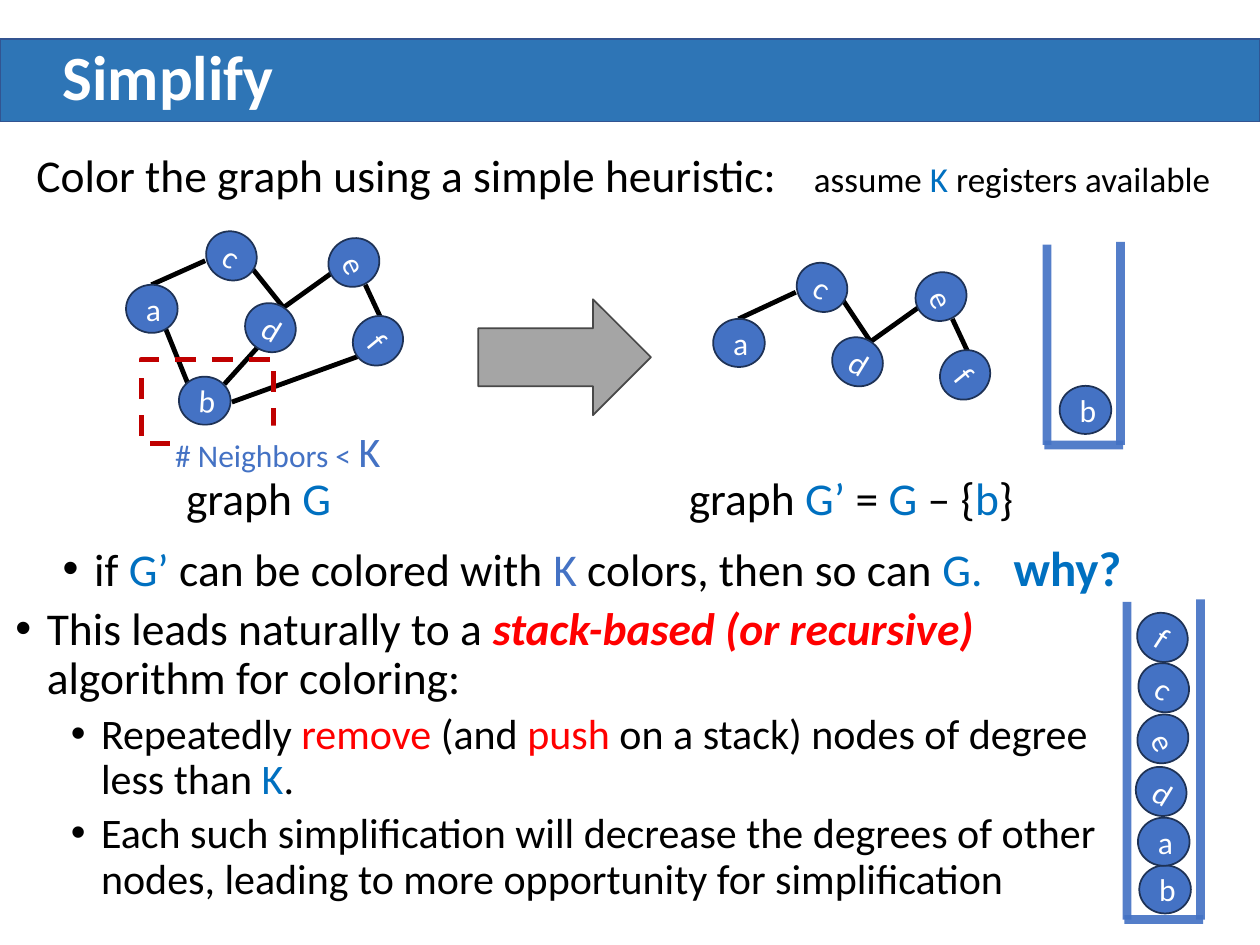
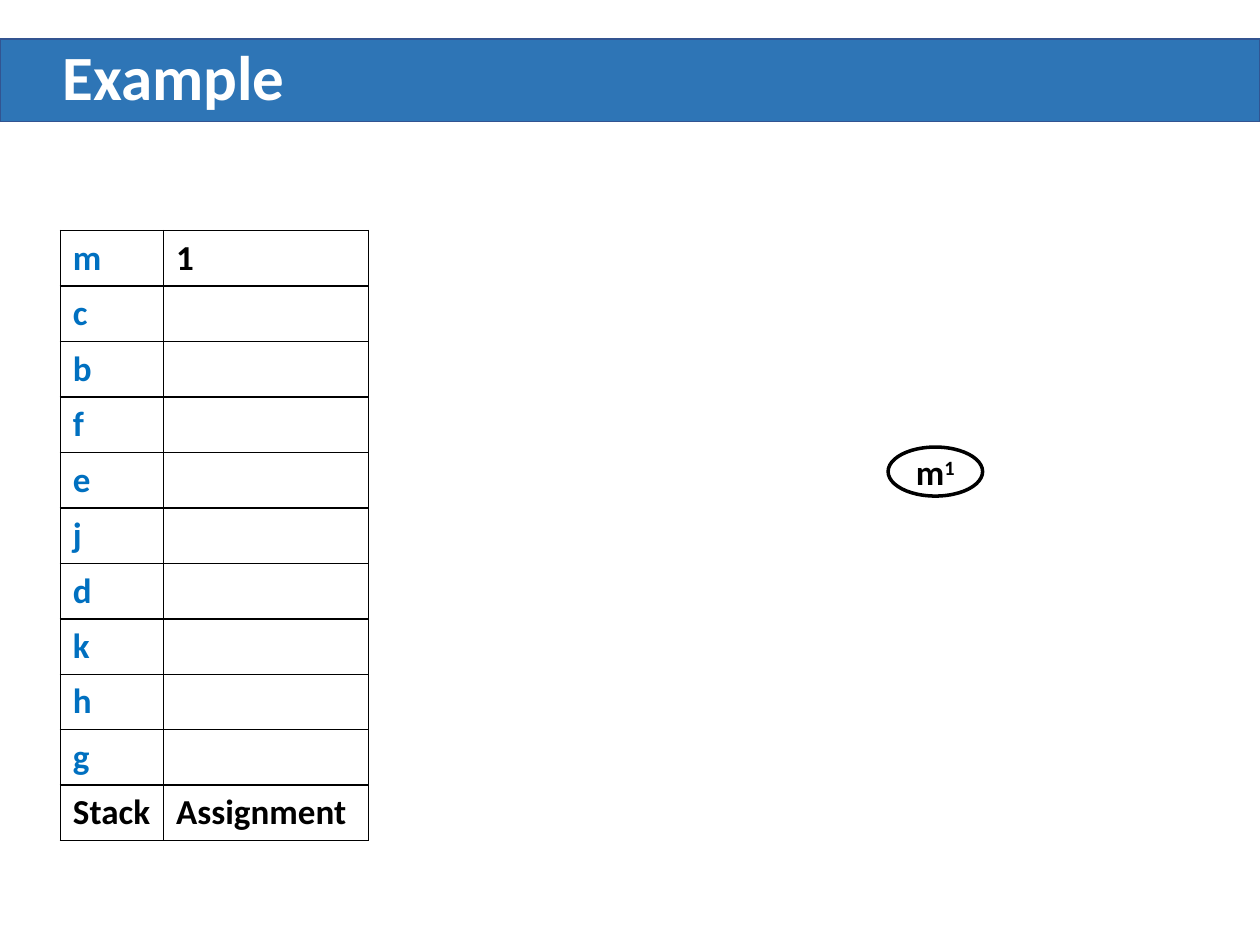
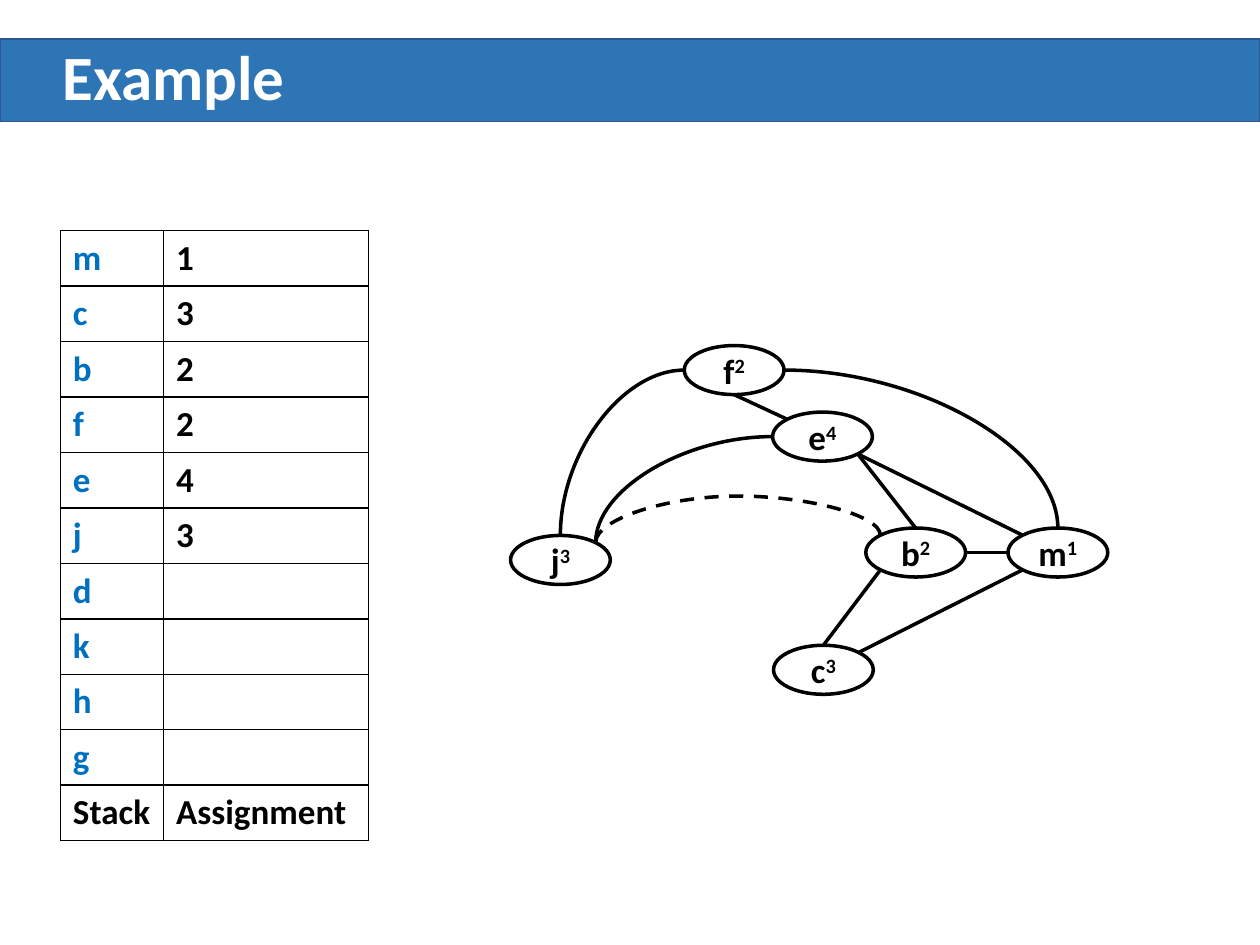
from dataclasses import dataclass, field
from math import sqrt

from lxml.etree import SubElement
from pptx import Presentation
from pptx.dml.color import RGBColor
from pptx.enum.dml import MSO_LINE
from pptx.enum.shapes import MSO_CONNECTOR, MSO_SHAPE
from pptx.enum.text import MSO_ANCHOR
from pptx.oxml.ns import qn
from pptx.util import Pt

BLACK = RGBColor(0x00, 0x00, 0x00)
WHITE = RGBColor(0xFF, 0xFF, 0xFF)
RED = RGBColor(0xFF, 0x00, 0x00)
DARK_RED = RGBColor(0xC0, 0x00, 0x00)
BAND = RGBColor(0x2E, 0x75, 0xB6)
BAND_EDGE = RGBColor(0x32, 0x54, 0x91)
ACCENT = RGBColor(0x44, 0x72, 0xC4)
NODE_EDGE = RGBColor(0x1E, 0x32, 0x56)
SYMBOL = RGBColor(0x00, 0x70, 0xC0)
GREY = RGBColor(0xA5, 0xA5, 0xA5)
GREY_EDGE = RGBColor(0x48, 0x48, 0x48)
FONT = "Calibri"

NODE_LONG, NODE_SHORT = 29.5, 27.5
OVAL_W, OVAL_H = 57, 28
ROW_H = 31.7
COLUMNS = (59, 117)
STACK_ORDER = "mcbfejdkhg"

DIAGONAL = sqrt(0.5)
SITES = {
    "top": (0, -1), "bottom": (0, 1), "left": (-1, 0), "right": (1, 0),
    "top left": (-DIAGONAL, -DIAGONAL), "top right": (DIAGONAL, -DIAGONAL),
    "bottom left": (-DIAGONAL, DIAGONAL), "bottom right": (DIAGONAL, DIAGONAL),
}

Point = tuple[float, float]


@dataclass
class Run:
    text: str
    color: RGBColor = BLACK
    size: float = 26
    bold: bool = False
    italic: bool = False
    attrs: dict = field(default_factory=dict)


@dataclass
class Para:
    runs: list[Run]
    spacing: float | None = None
    before: float = 0
    margin: float = 0
    hanging: float = 0


@dataclass
class Node:
    name: str
    x: float
    y: float
    rotation: float = 0
    tall: bool = False


@dataclass
class Edge:
    start: str
    start_at: Point
    end: str
    end_at: Point


@dataclass
class Link:
    start: str
    start_site: str
    end: str
    end_site: str
    curved: bool = False


GRAPH = [
    Node("b", 117, 229, 3.6),
    Node("a", 86.75, 176.5),
    Node("d", 154.5, 187.25, 31.3),
    Node("f", 216, 194.75, 50.7, True),
    Node("c", 132.25, 146.25, 32.9),
    Node("e", 202.25, 150, 64.3, True),
]
EDGES = [
    Edge("b", (107.25, 219), "a", (91.5, 180)),
    Edge("d", (147, 198.75), "b", (128.25, 219.5)),
    Edge("f", (204.5, 203.75), "b", (132.5, 229.75)),
    Edge("a", (86.5, 162.75), "c", (117.25, 149)),
    Edge("d", (162, 175.75), "c", (144, 153.25)),
    Edge("f", (217.5, 181.5), "e", (208.75, 162.75)),
    Edge("d", (162, 175.75), "e", (189.25, 156.25)),
]
PUSHED = [
    Node("b", 665.75, 508.25),
    Node("a", 665, 481),
    Node("d", 663.5, 452.25, 31.3),
    Node("e", 664.5, 422.25, 64.3, True),
    Node("c", 665, 393, 32.9),
    Node("f", 664.25, 364.25, 32.9),
]
OVALS = {
    "m": (576, 301.75), "f": (391, 197.5), "e": (441.5, 235.5),
    "b": (494.75, 301.75), "c": (442, 368.75), "j": (291.75, 306),
}
LINKS = [
    Link("f", "left", "j", "top", True),
    Link("f", "right", "m", "top", True),
    Link("e", "left", "j", "top right", True),
    Link("c", "bottom right", "m", "bottom left"),
    Link("c", "top", "b", "bottom left"),
    Link("e", "bottom right", "b", "top"),
    Link("f", "bottom", "e", "top left"),
    Link("e", "bottom right", "m", "top left"),
    Link("b", "right", "m", "left"),
]
LINKS[3].start_site = "top right"


def add_runs(p, runs: list[Run]) -> None:
    for run in runs:
        r = p.add_run()
        r.text = run.text
        style = {"name": FONT, "size": Pt(run.size), "bold": run.bold, "italic": run.italic}
        for key, value in style.items():
            setattr(r.font, key, value)
        r.font.color.rgb = run.color
        for key, value in run.attrs.items():
            r._r.get_or_add_rPr().set(key, value)


def add_text(s, x: float, y: float, w: float, h: float, paras: list[Para],
             insets: Point = (7.2, 3.6), anchor=MSO_ANCHOR.TOP):
    sp = s.shapes.add_textbox(Pt(x), Pt(y), Pt(w), Pt(h))
    tf = sp.text_frame
    layout = {"word_wrap": True, "vertical_anchor": anchor,
              "margin_left": Pt(insets[0]), "margin_right": Pt(insets[0]),
              "margin_top": Pt(insets[1]), "margin_bottom": Pt(insets[1])}
    for key, value in layout.items():
        setattr(tf, key, value)
    for i, para in enumerate(paras):
        p = tf.add_paragraph() if i else tf.paragraphs[0]
        if para.spacing:
            p.line_spacing = para.spacing
        if para.before:
            p.space_before = Pt(para.before)
        if para.hanging:
            pPr = p._p.get_or_add_pPr()
            pPr.set("marL", str(Pt(para.margin)))
            pPr.set("indent", str(-Pt(para.hanging)))
            SubElement(pPr, qn("a:buFont")).set("typeface", "Arial")
            SubElement(pPr, qn("a:buChar")).set("char", "•")
        add_runs(p, para.runs)
    return sp


def add_shape(s, kind, x: float, y: float, w: float, h: float,
              fill: RGBColor | None, edge: RGBColor, width: float = 1):
    sp = s.shapes.add_shape(kind, Pt(x), Pt(y), Pt(w), Pt(h))
    sp.shadow.inherit = False
    if fill is None:
        sp.fill.background()
    else:
        sp.fill.solid()
        sp.fill.fore_color.rgb = fill
    sp.line.color.rgb = edge
    sp.line.width = Pt(width)
    return sp


def add_line(s, start: Point, end: Point, color: RGBColor = BLACK, width: float = 2,
             kind=MSO_CONNECTOR.STRAIGHT):
    cn = s.shapes.add_connector(kind, *(Pt(v) for v in (*start, *end)))
    cn.line.color.rgb = color
    cn.line.width = Pt(width)
    SubElement(cn._element.spPr, qn("a:effectLst"))
    return cn


def add_quarter_curve(s, start: Point, end: Point) -> None:
    cn = add_line(s, start, end, kind=MSO_CONNECTOR.CURVE)
    cn._element.spPr.find(qn("a:prstGeom")).set("prst", "curvedConnector2")


def add_dashed_arch(s, start: Point, end: Point, rise: float) -> None:
    across, drop = end[0] - start[0], start[1] - end[1]
    mid_x, mid_y = (start[0] + end[0]) / 2, (start[1] + end[1]) / 2
    cn = add_line(s, (mid_x + drop / 2, mid_y + across / 2),
                  (mid_x - drop / 2, mid_y - across / 2), kind=MSO_CONNECTOR.CURVE)
    cn.line.dash_style = MSO_LINE.DASH
    spPr = cn._element.spPr
    spPr.find(qn("a:xfrm")).set("rot", str(90 * 60000))
    geom = spPr.find(qn("a:prstGeom"))
    guides = geom.find(qn("a:avLst"))
    if guides is None:
        guides = SubElement(geom, qn("a:avLst"))
    guide = SubElement(guides, qn("a:gd"))
    guide.set("name", "adj1")
    guide.set("fmla", f"val {round(rise / drop * 100000)}")


def add_node(s, node: Node, shift: Point = (0, 0)) -> None:
    w, h = (NODE_SHORT, NODE_LONG) if node.tall else (NODE_LONG, NODE_SHORT)
    sp = add_shape(s, MSO_SHAPE.OVAL, node.x + shift[0] - w / 2, node.y + shift[1] - h / 2,
                   w, h, ACCENT, NODE_EDGE)
    sp.rotation = node.rotation
    add_runs(sp.text_frame.paragraphs[0], [Run(node.name, WHITE, 18)])


def add_graph(s, hidden: str = "", shift: Point = (0, 0),
              shifts: dict[str, Point] | None = None) -> None:
    shifts = shifts or {}

    def moved(name: str, at: Point) -> Point:
        dx, dy = shifts.get(name, shift)
        return at[0] + dx, at[1] + dy

    for edge in EDGES:
        if hidden not in (edge.start, edge.end):
            add_line(s, moved(edge.start, edge.start_at), moved(edge.end, edge.end_at), width=2.75)
    for node in GRAPH:
        if node.name != hidden:
            add_node(s, node, shifts.get(node.name, shift))


def add_stack(s, left: float, top: float, bottom: float, nodes: list[Node]) -> None:
    right = left + 42
    for start, end in [((right, top - 1.5), (right, bottom)),
                       ((right + 1.5, bottom), (left - 1.5, bottom)),
                       ((left, top), (left, bottom))]:
        cn = add_line(s, start, end, ACCENT, 5)
        color = cn.line._ln.find(".//" + qn("a:srgbClr"))
        SubElement(color, qn("a:alpha")).set("val", "91000")
    for node in nodes:
        add_node(s, node)


def add_oval(s, name: str, number: str, x: float, y: float, w: float = OVAL_W) -> None:
    sp = add_shape(s, MSO_SHAPE.OVAL, x, y, w, OVAL_H, WHITE, BLACK, 2)
    add_runs(sp.text_frame.paragraphs[0],
             [Run(name, size=20, bold=True),
              Run(number, size=20, bold=True, attrs={"baseline": "30000"})])


def add_assignments(s, numbers: dict[str, str]) -> None:
    rows = [(Run(name, SYMBOL, 20, True), Run(numbers.get(name, ""), BLACK, 20, True))
            for name in STACK_ORDER]
    rows.append((Run("Stack", BLACK, 20, True), Run("Assignment", BLACK, 20, True)))
    table = s.shapes.add_table(len(rows), len(COLUMNS), Pt(34.5), Pt(131.75),
                               Pt(sum(COLUMNS)), Pt(ROW_H * len(rows))).table
    table.first_row = table.horz_banding = False
    for column, width in zip(table.columns, COLUMNS):
        column.width = Pt(width)
    for i, row in enumerate(rows):
        table.rows[i].height = Pt(ROW_H)
        for j, run in enumerate(row):
            cell = table.cell(i, j)
            tcPr = cell._tc.get_or_add_tcPr()
            for side in ("lnL", "lnR", "lnT", "lnB"):
                ln = SubElement(tcPr, qn(f"a:{side}"))
                ln.set("w", str(Pt(1)))
                SubElement(SubElement(ln, qn("a:solidFill")), qn("a:srgbClr")).set("val", str(BLACK))
            cell.fill.background()
            if run.text:
                add_runs(cell.text_frame.paragraphs[0], [run])


def new_slide(prs, title: str):
    s = prs.slides.add_slide(prs.slide_layouts[6])
    add_shape(s, MSO_SHAPE.RECTANGLE, 0, 22.5, 720, 47, BAND, BAND_EDGE)
    add_text(s, 28.75, 22.5, 665, 47, [Para([Run(title, WHITE, 36, True)], 0.9)],
             anchor=MSO_ANCHOR.MIDDLE)
    return s


def build_simplify(prs) -> None:
    s = new_slide(prs, "Simplify")
    add_shape(s, MSO_SHAPE.RIGHT_ARROW, 273.25, 171, 98.75, 66.25, GREY, GREY_EDGE)
    add_text(s, 13.75, 84.25, 451, 35.25,
             [Para([Run("Color the graph using a simple heuristic:")], 0.9)])
    add_graph(s)
    add_text(s, 99.25, 268.5, 109, 29.5, [Para([Run("graph "), Run("G", SYMBOL)])], (7.2, 0))
    sp = add_shape(s, MSO_SHAPE.RECTANGLE, 80.75, 205.25, 75.5, 48.25, None, DARK_RED, 3)
    sp.line.dash_style = MSO_LINE.DASH
    sp = add_text(s, 97.25, 243.25, 172, 29,
                  [Para([Run("# Neighbors < ", ACCENT, 18), Run("K", ACCENT, 24)])], (2.9, 0))
    sp.fill.solid()
    sp.fill.fore_color.rgb = WHITE

    add_graph(s, "b", (335.5, 19.5), {"c": (337.5, 18)})
    add_text(s, 386.5, 268.5, 206, 31.75,
             [Para([Run("graph "), Run("G’ ", SYMBOL), Run("="), Run(" G ", SYMBOL),
                    Run("– {"), Run("b", SYMBOL), Run("}")])], (7.2, 0))
    add_stack(s, 598.25, 139.75, 254.25, [Node("b", 620.25, 234.25)])
    add_text(s, 28.75, 307.5, 636.5, 38,
             [Para([Run("if "), Run("G’ ", SYMBOL), Run("can be colored with "),
                    Run("K", ACCENT), Run(" colors, then so can "), Run("G.", SYMBOL),
                    Run(" ", SYMBOL, attrs={"spc": "1180"}),
                    Run("why?", SYMBOL, 28, True)], 0.9, margin=18, hanging=18)])
    steps = [
        [Run("Repeatedly ", size=24), Run("remove ", RED, 24), Run("(and ", size=24),
         Run("push ", RED, 24), Run("on a stack) nodes of degree less than ", size=24),
         Run("K", SYMBOL, 24), Run(".", size=24)],
        [Run("Each such simplification will decrease the degrees of other nodes, "
             "leading to more opportunity for simplification", size=24)],
    ]
    add_text(s, 8.75, 342.75, 626.5, 178.5,
             [Para([Run("This leads naturally to a "),
                    Run("stack-based (or recursive) ", RED, bold=True, italic=True),
                    Run("algorithm for coloring:")], 0.9, margin=18, hanging=18)]
             + [Para(runs, 0.9, 5, 49, 17.25) for runs in steps], (0, 3.6))
    add_stack(s, 644, 344, 525.5, PUSHED)
    add_text(s, 458, 86.5, 262, 31.5,
             [Para([Run("assume ", size=20), Run("K", SYMBOL, 20),
                    Run(" registers available", size=20)])])


def build_first_assignment(prs) -> None:
    s = new_slide(prs, "Example")
    add_assignments(s, {"m": "1"})
    add_oval(s, "m", "1", 507.5, 255.5, 54)


def build_later_assignments(prs) -> None:
    s = new_slide(prs, "Example")
    numbers = dict(zip(STACK_ORDER, "132243"))
    add_assignments(s, numbers)
    for name, (x, y) in OVALS.items():
        add_oval(s, name, numbers[name], x, y)

    def site(name: str, where: str) -> Point:
        (x, y), (dx, dy) = OVALS[name], SITES[where]
        return x + OVAL_W / 2 * (1 + dx), y + OVAL_H / 2 * (1 + dy)

    for link in LINKS:
        draw = add_quarter_curve if link.curved else add_line
        draw(s, site(link.start, link.start_site), site(link.end, link.end_site))
    add_dashed_arch(s, site("j", "top right"), site("b", "top left"), 26.6)


def main() -> None:
    prs = Presentation()
    prs.slide_width, prs.slide_height = Pt(720), Pt(540)
    build_simplify(prs)
    build_first_assignment(prs)
    build_later_assignments(prs)
    prs.save("out.pptx")


if __name__ == "__main__":
    main()
